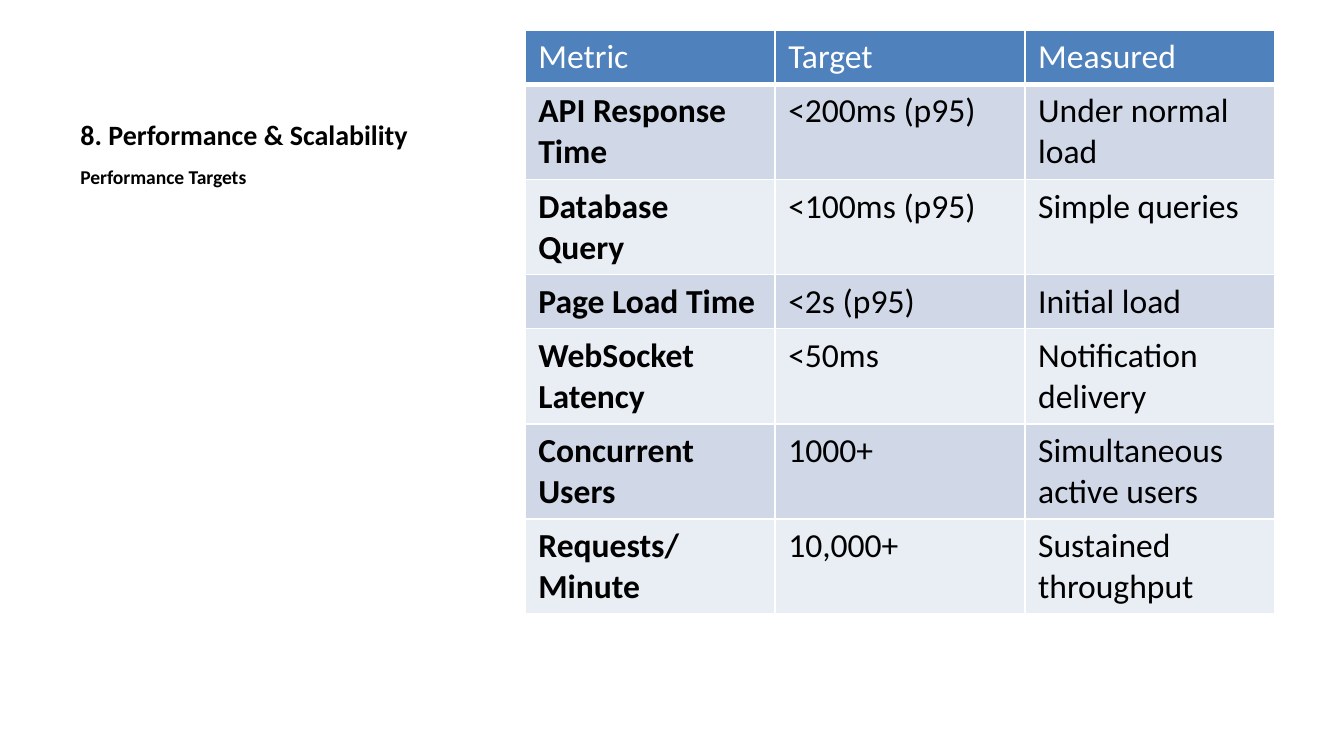
from dataclasses import dataclass

import lxml.etree
import pptx
import pptx.dml.color
import pptx.enum.text
import pptx.oxml.ns
import pptx.util
from pptx.util import Cm, Pt


@dataclass(frozen=True)
class Theme:
    font: str = "Calibri"
    text: str = "000000"
    light: str = "FFFFFF"
    header: str = "4F81BD"
    bands: tuple = ("D0D8E8", "E9EDF4")
    title_size: float = 15
    subtitle_size: float = 10.5
    table_size: float = 18


@dataclass(frozen=True)
class Metric:
    name: str
    target: str
    measured: str
    height: float = 1.8


@dataclass(frozen=True)
class Heading:
    text: str
    top: float
    height: float
    size: float
    anchor: pptx.enum.text.MSO_ANCHOR
    space_before: float = 0


THEME = Theme()
ANCHOR = pptx.enum.text.MSO_ANCHOR

HEADINGS = [
    Heading("8. Performance & Scalability", 0.57, 2.42, THEME.title_size, ANCHOR.BOTTOM),
    Heading("Performance Targets", 2.99, 9.77, THEME.subtitle_size, ANCHOR.TOP, 30),
]

HEADER = Metric("Metric", "Target", "Measured", 1.02)
METRICS = [
    Metric("API Response Time", "<200ms (p95)", "Under normal load"),
    Metric("Database Query", "<100ms (p95)", "Simple queries"),
    Metric("Page Load Time", "<2s (p95)", "Initial load", 1.02),
    Metric("WebSocket Latency", "<50ms", "Notification delivery"),
    Metric("Concurrent Users", "1000+", "Simultaneous active users"),
    Metric("Requests/Minute", "10,000+", "Sustained throughput"),
]


def rgb(color: str) -> pptx.dml.color.RGBColor:
    return pptx.dml.color.RGBColor.from_string(color)


def add_run(para, text: str, size: float, color: str, bold: bool) -> None:
    span = para.add_run()
    span.text = text
    span.font.name = THEME.font
    span.font.size = Pt(size)
    span.font.bold = bold
    span.font.color.rgb = rgb(color)


def add_heading(page, heading: Heading) -> None:
    box = page.shapes.add_textbox(Cm(1.27), Cm(heading.top), Cm(8.36), Cm(heading.height))
    frame = box.text_frame
    frame.word_wrap = True
    frame.vertical_anchor = heading.anchor
    para = frame.paragraphs[0]
    para.space_before = Pt(heading.space_before)
    add_run(para, heading.text, heading.size, THEME.text, True)


def add_borders(cell, color: str) -> None:
    properties = cell._tc.get_or_add_tcPr()
    qn = pptx.oxml.ns.qn
    for side, width in (("L", 1), ("R", 1), ("T", 1), ("B", 3)):
        line = lxml.etree.SubElement(properties, qn(f"a:ln{side}"), w=str(Pt(width)))
        fill = lxml.etree.SubElement(line, qn("a:solidFill"))
        lxml.etree.SubElement(fill, qn("a:srgbClr"), val=color)


def fill_row(table, index: int, metric: Metric) -> None:
    is_header = index == 0
    fill = THEME.header if is_header else THEME.bands[(index - 1) % 2]
    color = THEME.light if is_header else THEME.text
    table.rows[index].height = Cm(metric.height)
    for column, text in enumerate((metric.name, metric.target, metric.measured)):
        cell = table.cell(index, column)
        if is_header:
            add_borders(cell, THEME.light)
        cell.fill.solid()
        cell.fill.fore_color.rgb = rgb(fill)
        bold = column == 0 and not is_header
        add_run(cell.text_frame.paragraphs[0], text, THEME.table_size, color, bold)


def add_metrics_table(page, metrics: list[Metric]) -> None:
    height = sum(metric.height for metric in metrics)
    table = page.shapes.add_table(
        len(metrics), 3, Cm(9.92), Cm(0.57), Cm(14.17), Cm(height)
    ).table
    for index, metric in enumerate(metrics):
        fill_row(table, index, metric)


def main() -> None:
    deck = pptx.Presentation()
    deck.slide_width, deck.slide_height = Cm(25.4), Cm(14.29)
    page = deck.slides.add_slide(deck.slide_layouts[6])
    for heading in HEADINGS:
        add_heading(page, heading)
    add_metrics_table(page, [HEADER, *METRICS])
    deck.save("out.pptx")


if __name__ == "__main__":
    main()
